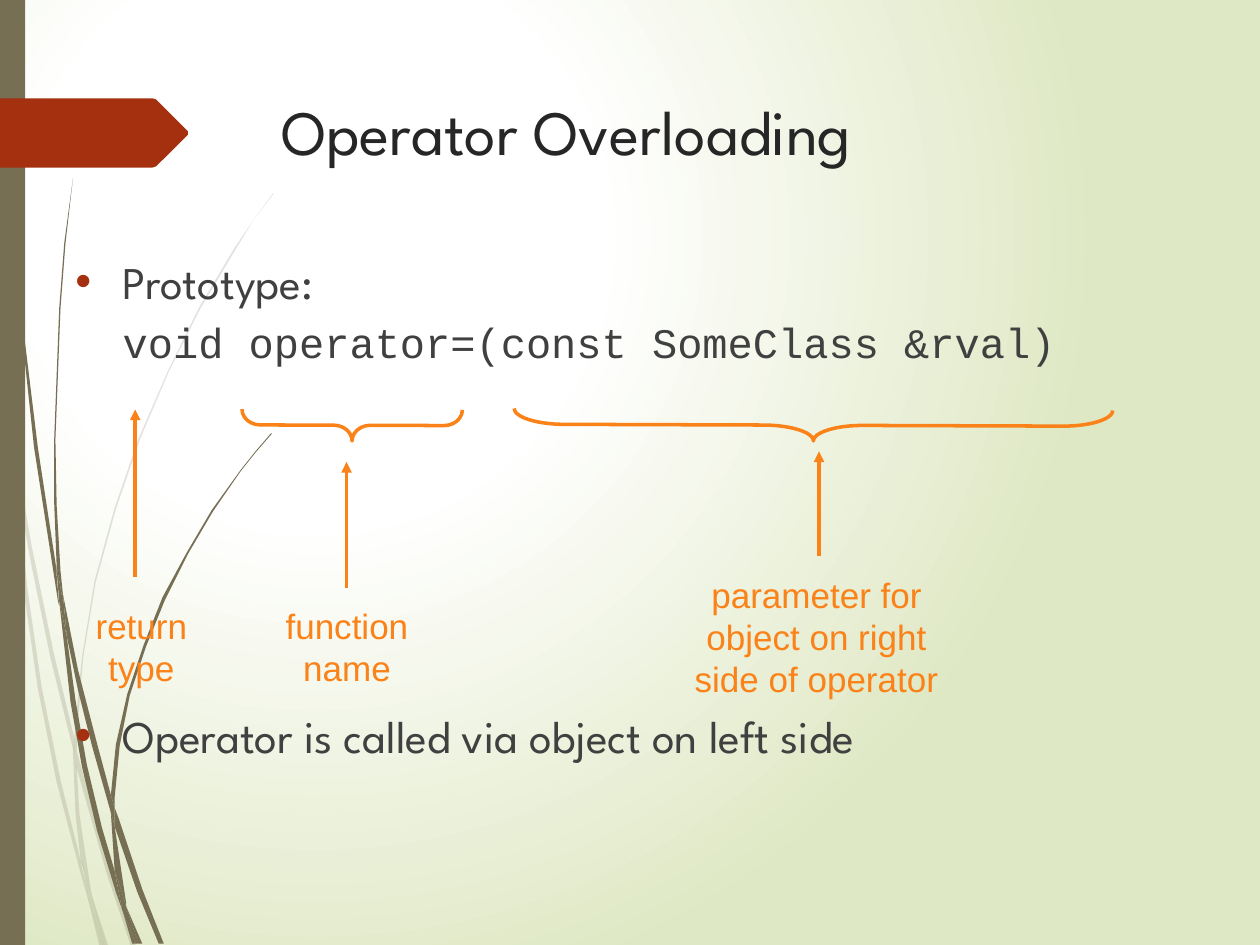
from lxml.etree import SubElement
from pptx import Presentation
from pptx.dml.color import RGBColor
from pptx.enum.shapes import MSO_CONNECTOR, MSO_SHAPE
from pptx.enum.text import MSO_ANCHOR, MSO_AUTO_SIZE, PP_ALIGN
from pptx.oxml import parse_xml
from pptx.oxml.ns import nsdecls, qn
from pptx.util import Pt

COLORS = {"olive": "766F54", "tag": "A53010", "orange": "FA8218", "title": "262626",
          "body": "404040", "center": "FFFFFF", "edge": "DFE8C4"}
GRID = Pt(0.72)  # unit of the outline coordinates


def style_text(p, size, font, color):
    """Format every run of a paragraph."""
    for r in p.runs:
        r.font.size = Pt(size)
        r.font.name = font
        r.font.color.rgb = RGBColor.from_string(COLORS[color])


def fill_shape(sp, color):
    """Give a shape a plain fill without line or shadow."""
    sp.shadow.inherit = False
    sp.fill.solid()
    sp.fill.fore_color.rgb = RGBColor.from_string(COLORS[color])
    sp.line.fill.background()


prs = Presentation()
prs.slide_width, prs.slide_height = Pt(720), Pt(540)
s = prs.slides.add_slide(prs.slide_layouts[5])
s._element.cSld.insert(0, parse_xml(
    f'<p:bg {nsdecls("p", "a")}><p:bgPr><a:gradFill rotWithShape="1"><a:gsLst>'
    f'<a:gs pos="36000"><a:srgbClr val="{COLORS["center"]}"/></a:gs>'
    f'<a:gs pos="100000"><a:srgbClr val="{COLORS["edge"]}"/></a:gs></a:gsLst>'
    '<a:path path="circle"><a:fillToRect l="50000" t="50000" r="100000" b="100000"/>'
    '</a:path></a:gradFill><a:effectLst/></p:bgPr></p:bg>'))

pale_blades = [
    [(8, 350), (6, 322), (0, 282), (0, 299), (7, 344)],
    [(40, 522), (59, 599), (59, 586), (43, 520), (25, 433), (10, 345), (12, 376), (25, 449)],
    [(64, 607), (61, 596), (61, 610), (85, 694), (104, 751), (108, 751), (88, 692)],
    [(83, 751), (86, 751), (73, 711)],
    [(64, 683), (48, 619), (33, 545), (22, 469), (12, 376), (8, 350), (12, 410), (19, 470),
     (30, 546), (45, 621), (64, 693), (70, 714), (69, 707)],
    [(58, 599), (60, 646), (64, 683), (67, 692), (73, 711), (72, 706), (63, 646), (61, 610),
     (61, 608)],
    [(61, 584), (66, 522), (76, 462), (92, 404), (111, 349), (134, 295), (159, 245),
     (187, 198), (201, 175), (217, 154), (217, 153), (201, 175), (186, 197), (158, 244),
     (133, 295), (110, 348), (91, 403), (75, 461), (65, 522), (59, 584), (59, 586), (61, 596)],
    [(70, 714), (79, 751), (82, 751)],
    [(61, 608), (61, 610), (61, 596), (59, 586), (58, 599)],
    [(67, 692), (65, 683), (69, 707), (70, 714), (82, 751), (83, 751), (73, 711)],
]
dark_blades = [
    [(5, 110), (14, 233), (27, 355), (46, 477), (47, 481), (45, 457), (45, 453), (30, 355),
     (15, 232), (6, 109), (4, 48), (3, 0), (2, 0), (3, 48)],
    [(73, 592), (88, 645), (88, 633), (88, 631), (77, 590), (62, 532), (50, 472), (53, 505),
     (62, 548)],
    [(94, 649), (91, 641), (91, 656), (109, 708), (126, 749), (130, 749), (113, 706)],
    [(91, 691), (81, 657), (69, 607), (60, 556), (53, 505), (47, 477), (56, 557), (65, 608),
     (77, 659), (92, 708), (97, 722), (96, 717)],
    [(50, 472), (48, 453), (45, 401), (44, 349), (48, 245), (52, 193), (58, 141), (51, 193),
     (47, 245), (43, 349), (43, 399), (45, 449), (49, 472)],
    [(110, 749), (113, 749), (100, 719)],
    [(47, 477), (53, 505), (50, 472), (49, 472), (45, 449), (45, 453)],
    [(91, 633), (95, 592), (103, 552), (116, 513), (131, 476), (149, 440), (169, 406),
     (191, 374), (203, 359), (216, 344), (215, 344), (203, 358), (191, 373), (168, 405),
     (148, 439), (129, 474), (114, 512), (101, 551), (92, 591), (88, 631), (91, 641)],
    [(97, 722), (105, 749), (108, 749)],
    [(88, 645), (91, 691), (96, 706), (100, 719), (100, 716), (91, 656), (90, 651)],
    [(88, 645), (90, 651), (91, 656), (91, 641), (88, 631)],
    [(96, 706), (91, 691), (96, 717), (97, 722), (108, 749), (110, 749), (100, 719)],
]
side_bar = [(0, 0), (20, 0), (20, 750), (0, 750)]
title_tag = [(149, 107), (124, 132), (121, 133), (0, 133), (0, 78), (121, 78), (124, 79),
             (149, 104)]

for outlines, color, opacity in [(pale_blades, "olive", 20), (dark_blades, "olive", 100)]:
    for outline in outlines:
        builder = s.shapes.build_freeform(*outline[0], scale=GRID)
        builder.add_line_segments(outline[1:], close=True)
        sp = builder.convert_to_shape()
        fill_shape(sp, color)
        if opacity < 100:
            rgb = sp._element.spPr.find(qn("a:solidFill"))[0]
            SubElement(rgb, qn("a:alpha"), val=str(opacity * 1000))

fill_shape(s.shapes.add_shape(MSO_SHAPE.RECTANGLE, 0, 0, Pt(14.4), Pt(540)), "olive")
builder = s.shapes.build_freeform(*title_tag[0], scale=GRID)
builder.add_line_segments(title_tag[1:], close=True)
fill_shape(builder.convert_to_shape(), "tag")

title = s.shapes.title
title.left, title.top, title.width, title.height = Pt(153.4), Pt(49), Pt(519), Pt(100.8)
tf = title.text_frame
tf.text = "Operator Overloading"
tf.vertical_anchor = MSO_ANCHOR.TOP
tf.paragraphs[0].alignment = PP_ALIGN.LEFT
style_text(tf.paragraphs[0], 36, "League Spartan", "title")

tf = s.shapes.add_textbox(Pt(36), Pt(147.6), Pt(653.8), Pt(294.5)).text_frame
tf.word_wrap = True
lines = [("Prototype:", 25.9, "League Spartan", 10, True),
         ("void operator=(const SomeClass &rval)", 24, "Courier New", 10.5, False),
         ("Operator is called via object on left side", 25.9, "League Spartan", 201, True)]
tf.text = "\n".join(line[0] for line in lines)
for p, (_, size, font, before, bullet) in zip(tf.paragraphs, lines):
    p.line_spacing = 0.8
    p.space_before = Pt(before)
    style_text(p, size, font, "body")
    pPr = p._p.get_or_add_pPr()
    pPr.set("marL", str(Pt(27)))
    pPr.set("indent", str(Pt(-27 if bullet else 0)))
    if bullet:
        SubElement(SubElement(pPr, qn("a:buClr")), qn("a:srgbClr"), val=COLORS["tag"])
        SubElement(pPr, qn("a:buFont"), typeface="Arial")
        SubElement(pPr, qn("a:buChar"), char="•")

# Braces under the function name and the parameter
for left, top, length, curl in [(192.2, 180, 126, 0.58), (455.8, 72, 342, 1.59)]:
    sp = s.shapes.add_shape(MSO_SHAPE.RIGHT_BRACE, Pt(left), Pt(top), Pt(18), Pt(length))
    sp.rotation = 90.2
    sp.adjustments[0] = curl
    sp.shadow.inherit = False
    sp.fill.background()
    sp.line.color.rgb = RGBColor.from_string(COLORS["orange"])
    sp.line.width = Pt(2)

labels = [("return\ntype", 47.3, 342, 67, 55.4),
          ("function\nname", 155.7, 342, 85.2, 55.4),
          ("parameter for\nobject on right\nside of operator", 389.8, 324, 153.6, 79.2)]
for text, *box in labels:
    tf = s.shapes.add_textbox(*map(Pt, box)).text_frame
    tf.word_wrap = False
    tf.auto_size = MSO_AUTO_SIZE.SHAPE_TO_FIT_TEXT
    tf.text = text
    for p in tf.paragraphs:
        p.alignment = PP_ALIGN.CENTER
        style_text(p, 20, "Arial", "orange")

for x, bottom, top in [(77.3, 330, 234), (198, 336, 264), (468, 318, 258)]:
    arrow = s.shapes.add_connector(MSO_CONNECTOR.STRAIGHT, Pt(x), Pt(bottom), Pt(x), Pt(top))
    arrow.line.color.rgb = RGBColor.from_string(COLORS["orange"])
    arrow.line.width = Pt(2)
    SubElement(arrow.line._get_or_add_ln(), qn("a:tailEnd"), type="triangle")
    SubElement(arrow._element.spPr, qn("a:effectLst"))

prs.save("out.pptx")
